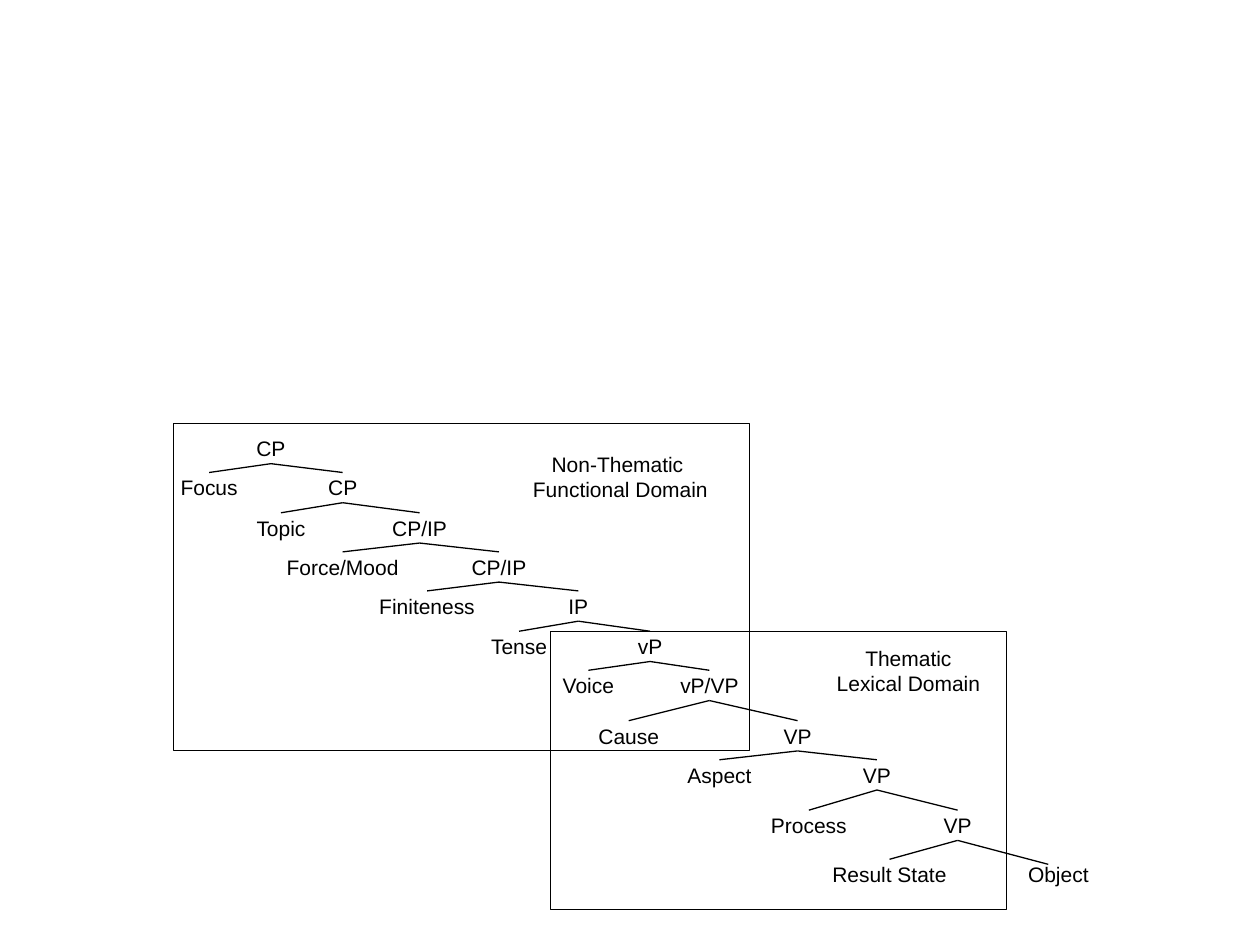
"""Build a syntax tree slide with two overlapping domain frames."""
from itertools import pairwise

from lxml import etree
from pptx import Presentation
from pptx.dml.color import RGBColor
from pptx.enum.shapes import MSO_CONNECTOR, MSO_SHAPE
from pptx.enum.text import MSO_ANCHOR, PP_ALIGN
from pptx.oxml.ns import qn
from pptx.util import Inches, Pt

STRAIGHT = MSO_CONNECTOR.STRAIGHT
RECTANGLE, PROCESS = MSO_SHAPE.RECTANGLE, MSO_SHAPE.FLOWCHART_PROCESS
MIDDLE, CENTER = MSO_ANCHOR.MIDDLE, PP_ALIGN.CENTER

COLORS = {"ink": "000000"}
FONT, FONT_SIZE, LINE_WIDTH = "Arial", Pt(12), Pt(0.74)
NODE_HEIGHT = 0.24

# Each head: label, center, top, width; each specifier: label, center, width.
HEADS = [
    ("CP", 2.15, 3.44, 0.92),
    ("CP", 2.72, 3.75, 1.42),
    ("CP/IP", 3.33, 4.07, 0.92),
    ("CP/IP", 3.96, 4.38, 0.92),
    ("IP", 4.59, 4.69, 0.92),
    ("vP", 5.16, 5.01, 1.42),
    ("vP/VP", 5.63, 5.32, 1.42),
    ("VP", 6.33, 5.72, 0.92),
    ("VP", 6.96, 6.03, 0.92),
    ("VP", 7.6, 6.43, 0.92),
    ("Object", 8.4, 6.82, 1.26),
]
SPECIFIERS = [
    ("Focus", 1.66, 0.77),
    ("Topic", 2.23, 0.92),
    ("Force/Mood", 2.72, 0.77),
    ("Finiteness", 3.39, 0.87),
    ("Tense", 4.12, 0.92),
    ("Voice", 4.67, 0.92),
    ("Cause", 4.99, 0.92),
    ("Aspect", 5.71, 0.92),
    ("Process", 6.42, 1.26),
    ("Result State", 7.06, 1.26),
]
OBJECT_BRANCH_END = (8.32, 6.86)
DOMAINS = [
    ((1.38, 3.36, 4.57, 2.6), ["Non-Thematic ", "Functional Domain"], (4.06, 3.59, 1.73, 0.39)),
    ((4.37, 5.01, 3.62, 2.21), ["Thematic", "Lexical Domain"], (6.5, 5.09, 1.42, 0.47)),
]


def color(name):
    return RGBColor.from_string(COLORS[name])


def add_box(slide, kind, bounds):
    shape = slide.shapes.add_shape(kind, *map(Inches, bounds))
    shape.shadow.inherit = False
    shape.fill.background()
    return shape


def add_label(slide, lines, bounds):
    shape = add_box(slide, PROCESS, bounds)
    shape.line.fill.background()
    frame = shape.text_frame
    frame.word_wrap = False
    frame.vertical_anchor = MIDDLE
    for index, line in enumerate(lines):
        paragraph = frame.add_paragraph() if index else frame.paragraphs[0]
        paragraph.alignment = CENTER
        run = paragraph.add_run()
        run.text = line
        run.font.name, run.font.size = FONT, FONT_SIZE
        run.font.color.rgb = color("ink")


def add_node(slide, label, center, top, width):
    add_label(slide, [label], (center - width / 2, top, width, NODE_HEIGHT))


def add_frame(slide, bounds):
    frame = add_box(slide, RECTANGLE, bounds)
    frame.line.color.rgb = color("ink")
    frame.line.width = LINE_WIDTH


def add_branch(slide, start, end):
    branch = slide.shapes.add_connector(STRAIGHT, *map(Inches, (*start, *end)))
    branch.line.color.rgb = color("ink")
    branch.line.width = LINE_WIDTH
    etree.SubElement(branch._element.spPr, qn("a:effectLst"))


presentation = Presentation()
presentation.slide_width, presentation.slide_height = Inches(10), Inches(7.5)
slide = presentation.slides.add_slide(presentation.slide_layouts[6])

for frame_bounds, title, title_bounds in DOMAINS:
    add_frame(slide, frame_bounds)
    add_label(slide, title, title_bounds)

for head in HEADS:
    add_node(slide, *head)

for (head, child), (label, center, width) in zip(pairwise(HEADS), SPECIFIERS):
    child_label, child_center, child_top, _ = child
    fork = (head[1], head[2] + NODE_HEIGHT)
    child_end = OBJECT_BRANCH_END if child_label == "Object" else (child_center, child_top)
    add_node(slide, label, center, child_top, width)
    add_branch(slide, fork, (center, child_top))
    add_branch(slide, fork, child_end)

presentation.save("out.pptx")
